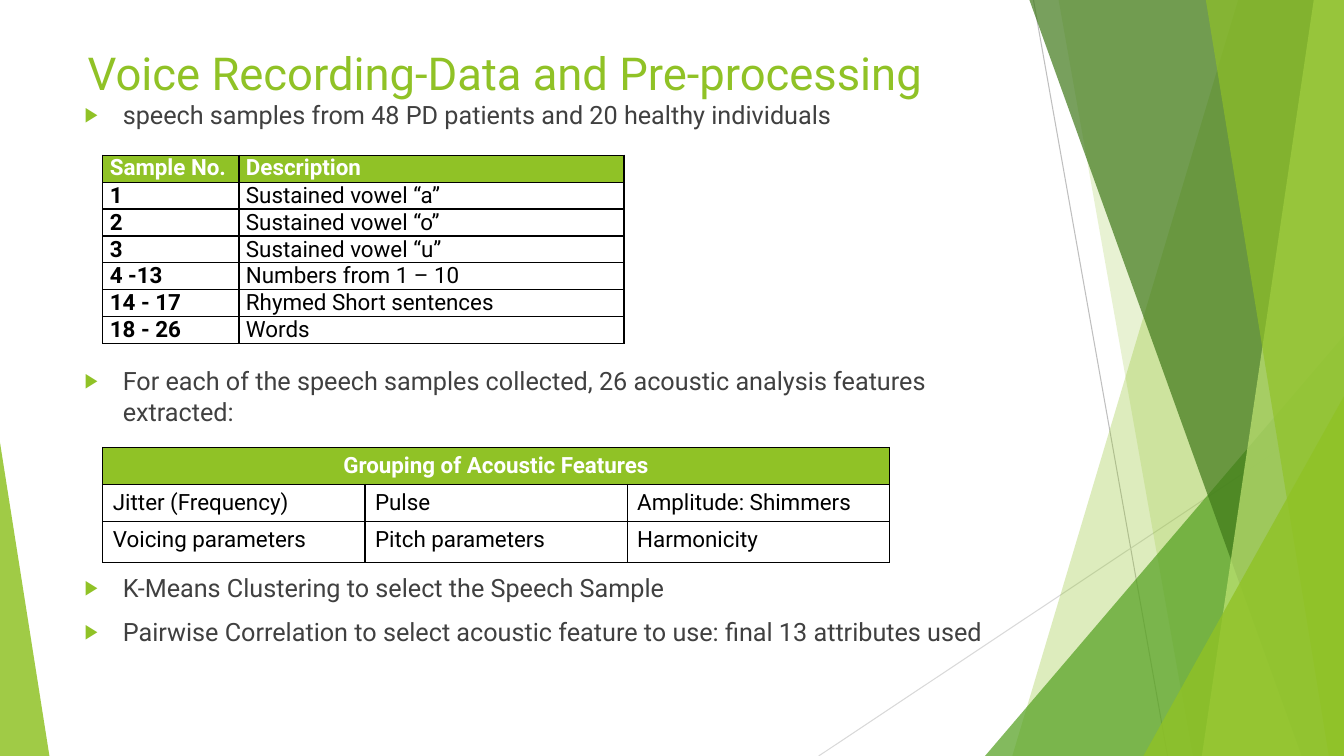
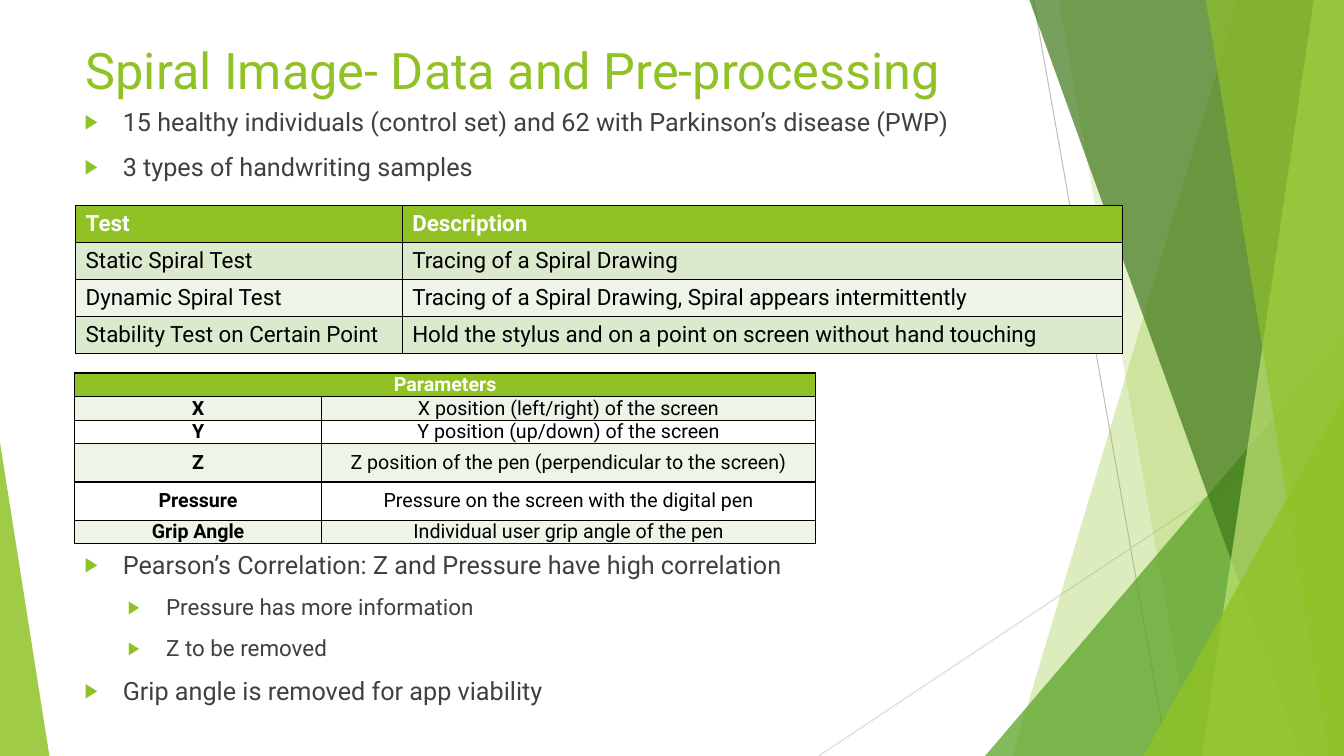
from lxml.etree import SubElement
from pptx import Presentation
from pptx.dml.color import RGBColor
from pptx.enum.shapes import MSO_CONNECTOR as Connector, MSO_SHAPE as Shape
from pptx.enum.text import MSO_ANCHOR as Anchor, MSO_AUTO_SIZE as AutoSize, PP_ALIGN as Align
from pptx.oxml.ns import qn
from pptx.util import Inches, Pt

FONT = "Roboto"
GREEN, DARK_GREEN, MID_GREEN, LIME = "90C226", "3F7819", "54A021", "C0E474"
BODY, WHITE, BLACK = "404040", "FFFFFF", "000000"
BAND_DARK, BAND_LIGHT = "DBE9CD", "EEF4E8"
HEIGHT = 7.5
EDGE = 13.33


def color(value):
    return RGBColor.from_string(value)


class Deck:
    def __init__(self):
        self.deck = Presentation()
        self.deck.slide_width = Inches(EDGE)
        self.deck.slide_height = Inches(HEIGHT)
        self.page = None

    def add_page(self, title, left, top, size):
        self.page = self.deck.slides.add_slide(self.deck.slide_layouts[5])
        self.facets()
        box = self.page.shapes.title
        box.left, box.top = Inches(left), Inches(top)
        box.width, box.height = Inches(9.4), Inches(0.7)
        frame = box.text_frame
        frame.text = title
        frame.word_wrap = True
        frame.auto_size = AutoSize.NONE
        frame.vertical_anchor = Anchor.TOP
        para = frame.paragraphs[0]
        para.alignment = Align.LEFT
        self.style(para, size, GREEN)

    def style(self, para, size, ink, bold=False):
        para.font.name = FONT
        para.font.size = Pt(size)
        para.font.bold = bold
        para.font.color.rgb = color(ink)

    def facets(self):
        self.line((10.25, 0), (11.58, HEIGHT), "BFBFBF")
        self.line((EDGE, 4.03), (8.12, HEIGHT), "D9D9D9")
        self.panel(12.28, 10.04, GREEN, 30)
        self.panel(10.5, 11.83, GREEN, 20)
        self.triangle(9.77, 3.33, 3.56, 1, MID_GREEN, 72)
        self.panel(10.21, 12.91, DARK_GREEN, 70)
        self.panel(13.03, 11.92, LIME, 70)
        self.panel(11.96, 13.18, GREEN, 65)
        self.triangle(11.34, 3.93, 1.99, 1, GREEN, 80)
        self.triangle(0, 4.39, 0.49, 0, GREEN, 85)

    def line(self, start, end, ink):
        line = self.page.shapes.add_connector(
            Connector.STRAIGHT, *(Inches(value) for value in start + end))
        line.line.color.rgb = color(ink)
        line.line.width = Pt(0.75)
        SubElement(line._element.spPr, qn("a:effectLst"))

    def panel(self, top_left, bottom_left, ink, opacity):
        builder = self.page.shapes.build_freeform(Inches(top_left), 0)
        corners = [(EDGE, 0), (EDGE, HEIGHT), (bottom_left, HEIGHT)]
        builder.add_line_segments([(Inches(x), Inches(y)) for x, y in corners])
        self.paint(builder.convert_to_shape(), ink, opacity)

    def triangle(self, left, top, width, apex, ink, opacity):
        shape = self.page.shapes.add_shape(
            Shape.ISOSCELES_TRIANGLE, Inches(left), Inches(top),
            Inches(width), Inches(HEIGHT - top))
        shape.adjustments[0] = apex
        self.paint(shape, ink, opacity)

    def paint(self, shape, ink, opacity):
        shape.shadow.inherit = False
        shape.fill.solid()
        shape.fill.fore_color.rgb = color(ink)
        tint = shape._element.spPr.find(qn("a:solidFill")).find(qn("a:srgbClr"))
        SubElement(tint, qn("a:alpha"), val=str(opacity * 1000))
        shape.line.fill.background()

    def bullets(self, top, height, items, width=9.4):
        box = self.page.shapes.add_textbox(
            Inches(0.74), Inches(top), Inches(width), Inches(height))
        frame = box.text_frame
        frame.word_wrap = True
        for index, (level, text) in enumerate(items):
            para = frame.paragraphs[0] if index == 0 else frame.add_paragraph()
            para.text = text
            para.level = level
            para.space_before = Pt(10 if index else 0)
            props = para._p.get_or_add_pPr()
            props.set("marL", str(Inches((0.38, 0.81)[level])))
            props.set("indent", str(Inches(-0.38)))
            SubElement(SubElement(props, qn("a:buClr")), qn("a:srgbClr"), val=GREEN)
            SubElement(props, qn("a:buSzPct"), val="80000")
            SubElement(props, qn("a:buFont"), typeface="Arial")
            SubElement(props, qn("a:buChar"), char="▶")
            self.style(para, (18, 16)[level], BODY)

    def table(self, left, top, widths, heights, rows, bands=(WHITE,), size=16,
              compact=False, bold_first=False, align=Align.LEFT, header_align=Align.LEFT):
        table = self.page.shapes.add_table(
            len(rows), len(widths), Inches(left), Inches(top),
            Inches(sum(widths)), Inches(sum(heights))).table
        table.horz_banding = False
        for column, width in zip(table.columns, widths):
            column.width = Inches(width)
        for row, height in zip(table.rows, heights):
            row.height = Inches(height)
        for r, texts in enumerate(rows):
            header = r == 0
            for c in range(len(widths)):
                cell = table.cell(r, c)
                self.borders(cell)
                cell.fill.solid()
                cell.fill.fore_color.rgb = color(GREEN if header else bands[(r - 1) % len(bands)])
                if compact:
                    cell.margin_left = cell.margin_right = Inches(0.07)
                    cell.margin_top = cell.margin_bottom = 0
                    cell.vertical_anchor = Anchor.TOP if header else Anchor.MIDDLE
                if c < len(texts):
                    cell.text = texts[c]
                para = cell.text_frame.paragraphs[0]
                para.alignment = header_align if header else align
                self.style(para, size, WHITE if header else BLACK,
                           header or (bold_first and c == 0))
            if len(texts) == 1:
                table.cell(r, 0).merge(table.cell(r, len(widths) - 1))

    def borders(self, cell):
        props = cell._tc.get_or_add_tcPr()
        for side in ("lnL", "lnR", "lnT", "lnB"):
            edge = SubElement(props, qn("a:" + side), w=str(Pt(1)))
            SubElement(SubElement(edge, qn("a:solidFill")), qn("a:srgbClr"), val=BLACK)


def voice_page(deck):
    deck.add_page("Voice Recording-Data and Pre-processing", 0.77, 0.4, 32.4)
    deck.bullets(0.94, 0.4, [(0, "speech samples from 48 PD patients and 20 healthy individuals")])
    deck.bullets(3.58, 0.7, [
        (0, "For each of the speech samples collected, 26 acoustic analysis features extracted:")])
    deck.bullets(5.63, 0.9, [
        (0, "K-Means Clustering to select the Speech Sample"),
        (0, "Pairwise Correlation to select acoustic feature to use: final 13 attributes used")])
    samples = [
        ("Sample No.", "Description"),
        ("1", "Sustained vowel “a”"),
        ("2", "Sustained vowel “o”"),
        ("3", "Sustained vowel “u”"),
        ("4 -13", "Numbers from 1 – 10"),
        ("14 - 17", "Rhymed Short sentences"),
        ("18 - 26", "Words"),
    ]
    deck.table(1.02, 1.54, (1.35, 3.82), [0.26] * 7, samples, compact=True, bold_first=True)
    features = [
        ("Grouping of Acoustic Features",),
        ("Jitter (Frequency)", "Pulse", "Amplitude: Shimmers"),
        ("Voicing parameters", "Pitch parameters", "Harmonicity"),
    ]
    deck.table(1.02, 4.44, [2.6] * 3, (0.36, 0.36, 0.41), features, header_align=Align.CENTER)


def spiral_page(deck):
    deck.add_page("Spiral Image- Data and Pre-processing", 0.75, 0.34, 36)
    deck.bullets(1.01, 0.9, [
        (0, "15 healthy individuals (control set) and 62 with Parkinson’s disease (PWP)"),
        (0, "3 types of handwriting samples")])
    deck.bullets(5.4, 1.75, [
        (0, "Pearson’s Correlation: Z and Pressure have high correlation"),
        (1, "Pressure has more information"),
        (1, "Z to be removed"),
        (0, "Grip angle is removed for app viability")])
    parameters = [
        ("Parameters",),
        ("X", "X position (left/right) of the screen"),
        ("Y", "Y position (up/down) of the screen"),
        ("Z", "Z position of the pen (perpendicular to the screen)"),
        ("Pressure", "Pressure on the screen with the digital pen"),
        ("Grip Angle", "Individual user grip angle of the pen"),
    ]
    deck.table(0.74, 3.7, (2.45, 4.9), (0.23, 0.23, 0.23, 0.38, 0.38, 0.23), parameters,
               bands=(BAND_LIGHT, WHITE), size=14, compact=True, bold_first=True,
               align=Align.CENTER, header_align=Align.CENTER)
    tests = [
        ("Test", "Description"),
        ("Static Spiral Test", "Tracing of a Spiral Drawing"),
        ("Dynamic Spiral Test", "Tracing of a Spiral Drawing, Spiral appears intermittently"),
        ("Stability Test on Certain Point",
         "Hold the stylus and on a point on screen without hand touching"),
    ]
    deck.table(0.75, 2.04, (3.24, 7.14), [0.36] * 4, tests, bands=(BAND_DARK, BAND_LIGHT))


def main():
    deck = Deck()
    voice_page(deck)
    spiral_page(deck)
    deck.deck.save("out.pptx")


if __name__ == "__main__":
    main()
